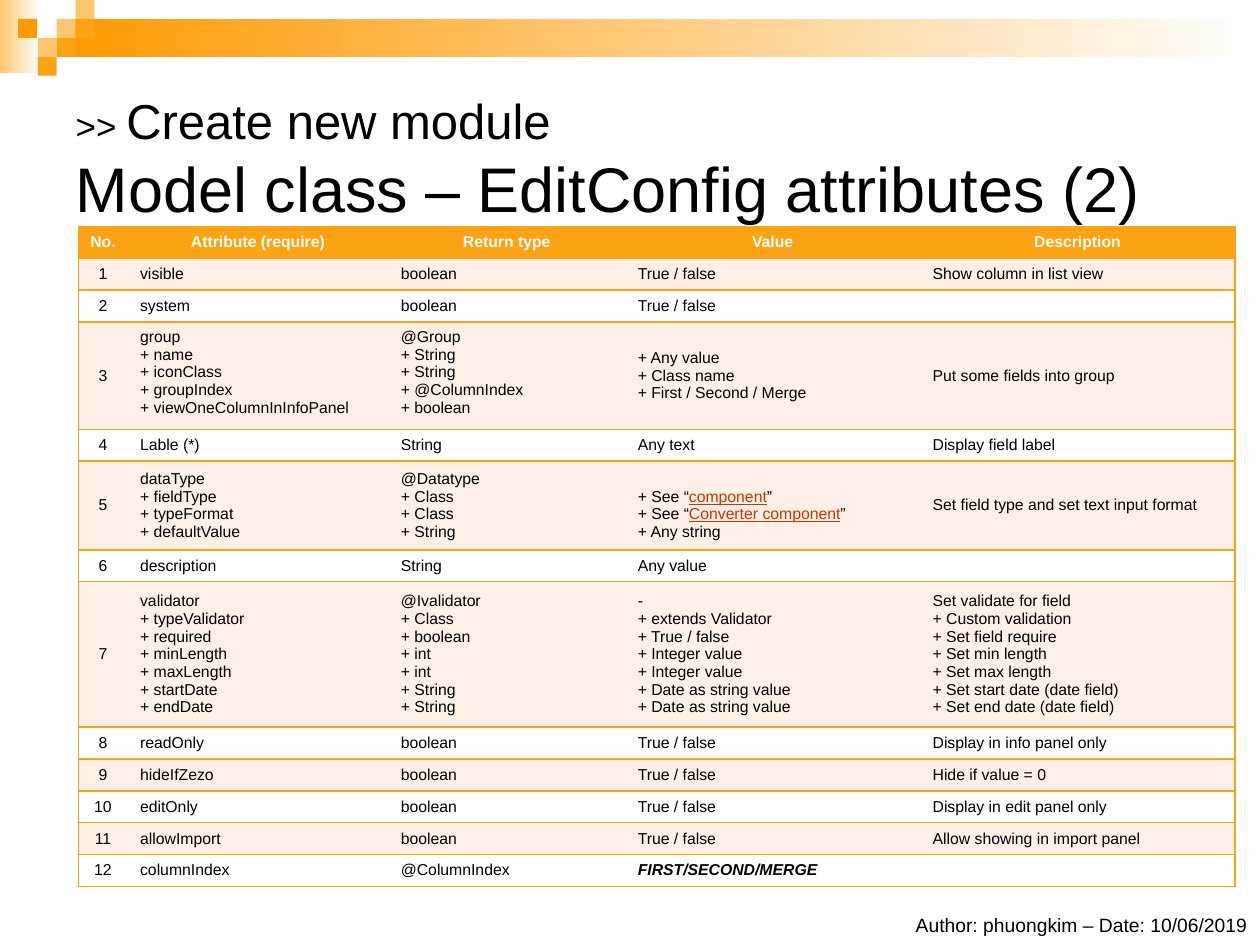
import pptx
import pptx.dml.color
import pptx.enum.shapes
import pptx.enum.text
import pptx.oxml
import pptx.oxml.ns
import pptx.util

Pt = pptx.util.Pt
RGBColor = pptx.dml.color.RGBColor
ALIGN = pptx.enum.text.PP_ALIGN
ANCHOR = pptx.enum.text.MSO_ANCHOR

FONT = "Arial"
BLACK = RGBColor(0x00, 0x00, 0x00)
WHITE = RGBColor(0xFF, 0xFF, 0xFF)
DEEP_ORANGE = RGBColor(0xFF, 0x99, 0x00)
ORANGE = RGBColor(0xFB, 0xA3, 0x13)
LIGHT_ORANGE = RGBColor(0xFC, 0xC6, 0x6E)
CREAM = RGBColor(0xFE, 0xF0, 0xE7)
LINK_RED = RGBColor(0xCC, 0x33, 0x00)

# Corner squares: left, top, colour
SQUARE = 10.8
SQUARES = [
    (32.4, 10.8, LIGHT_ORANGE), (43.2, 0, LIGHT_ORANGE), (43.2, 10.8, ORANGE),
    (21.6, 21.6, LIGHT_ORANGE), (10.4, 10.8, DEEP_ORANGE),
    (32.4, 21.6, ORANGE), (21.6, 32.4, ORANGE),
]

# Attribute table; text between bars is shown as a link
COLUMN_WIDTHS = [28.1, 149, 135.4, 168.5, 180]
ROW_HEIGHT = 18.25
TALL_ROWS = {3: 61.2, 5: 50.6, 7: 83}
LINE_HEIGHT = 10.2
ROWS = [
    ("No.", "Attribute (require)", "Return type", "Value", "Description"),
    ("1", "visible", "boolean", "True / false", "Show column in list view"),
    ("2", "system", "boolean", "True / false", ""),
    ("3", "group\n+ name\n+ iconClass\n+ groupIndex\n+ viewOneColumnInInfoPanel",
     "@Group\n+ String\n+ String\n+ @ColumnIndex\n+ boolean",
     "+ Any value\n+ Class name\n+ First / Second / Merge",
     "Put some fields into group"),
    ("4", "Lable (*)", "String", "Any text", "Display field label"),
    ("5", "dataType\n+ fieldType\n+ typeFormat\n+ defaultValue",
     "@Datatype\n+ Class\n+ Class\n+ String",
     "+ See “|component|”\n+ See “|Converter component|”\n+ Any string",
     "Set field type and set text input format"),
    ("6", "description", "String", "Any value", ""),
    ("7", "validator\n+ typeValidator\n+ required\n+ minLength\n+ maxLength"
          "\n+ startDate\n+ endDate",
     "@Ivalidator\n+ Class\n+ boolean\n+ int\n+ int\n+ String\n+ String",
     "-\n+ extends Validator\n+ True / false\n+ Integer value\n+ Integer value"
     "\n+ Date as string value\n+ Date as string value",
     "Set validate for field\n+ Custom validation\n+ Set field require"
     "\n+ Set min length\n+ Set max length\n+ Set start date (date field)"
     "\n+ Set end date (date field)"),
    ("8", "readOnly", "boolean", "True / false", "Display in info panel only"),
    ("9", "hideIfZezo", "boolean", "True / false", "Hide if value = 0"),
    ("10", "editOnly", "boolean", "True / false", "Display in edit panel only"),
    ("11", "allowImport", "boolean", "True / false", "Allow showing in import panel"),
    ("12", "columnIndex", "@ColumnIndex", "FIRST/SECOND/MERGE", ""),
]


def add_run(p, text, size, color=BLACK):
    r = p.add_run()
    r.text = text
    r.font.name = FONT
    r.font.size = Pt(size)
    r.font.color.rgb = color
    return r


def add_block(slide, left, top, width, height, color, fade=False):
    """Add a borderless rectangle, optionally fading to white on the right."""
    sp = slide.shapes.add_shape(pptx.enum.shapes.MSO_SHAPE.RECTANGLE,
                                Pt(left), Pt(top), Pt(width), Pt(height))
    sp.shadow.inherit = False
    sp.line.fill.background()
    if fade:
        sp.fill.gradient()
        sp.fill.gradient_angle = 0
        for stop, stop_color in zip(sp.fill.gradient_stops, (color, WHITE)):
            stop.color.rgb = stop_color
    else:
        sp.fill.solid()
        sp.fill.fore_color.rgb = color


def add_title(slide):
    sp = slide.shapes.title
    sp.left, sp.top, sp.width, sp.height = Pt(36), Pt(36), Pt(648), Pt(108)
    tf = sp.text_frame
    tf.auto_size = pptx.enum.text.MSO_AUTO_SIZE.NONE
    tf.vertical_anchor = ANCHOR.MIDDLE
    p = tf.paragraphs[0]
    p.alignment = ALIGN.LEFT
    add_run(p, ">> ", 20)
    add_run(p, "Create new module", 28)
    p.add_line_break()
    add_run(p, "Model class – EditConfig attributes (2)", 36)


def set_borders(cell, visible_sides):
    tc_pr = cell._tc.get_or_add_tcPr()
    for side in "LRTB":
        fill = "<a:noFill/>"
        if side in visible_sides:
            fill = f'<a:solidFill><a:srgbClr val="{ORANGE}"/></a:solidFill>'
        tc_pr.append(pptx.oxml.parse_xml(
            f'<a:ln{side} {pptx.oxml.ns.nsdecls("a")} w="{Pt(1)}">{fill}</a:ln{side}>'))


def fill_cell(cell, text, row, col):
    last_col = len(COLUMN_WIDTHS) - 1
    set_borders(cell, "TB" + {0: "L", last_col: "R"}.get(col, ""))
    cell.fill.solid()
    cell.fill.fore_color.rgb = ORANGE if row == 0 else CREAM if row % 2 else WHITE
    cell.vertical_anchor = ANCHOR.MIDDLE
    if col == 0:
        cell.margin_left = cell.margin_right = Pt(3)
    tf = cell.text_frame
    for i, line in enumerate(text.split("\n")):
        p = tf.add_paragraph() if i else tf.paragraphs[0]
        p.alignment = ALIGN.CENTER if row == 0 or col == 0 else ALIGN.LEFT
        if not line:
            # Keeps an empty cell from stretching its row
            p._p.get_or_add_endParaRPr().set("sz", "900")
            continue
        for j, part in enumerate(line.split("|")):
            is_link = j % 2 == 1
            r = add_run(p, part, 9, WHITE if row == 0 else LINK_RED if is_link else BLACK)
            r.font.bold = row == 0
            if is_link:
                r.font.underline = True


def add_attribute_table(slide):
    heights = [TALL_ROWS.get(i, ROW_HEIGHT) for i in range(len(ROWS))]
    table = slide.shapes.add_table(
        len(ROWS), len(COLUMN_WIDTHS), Pt(44.8), Pt(129.3),
        Pt(sum(COLUMN_WIDTHS)), Pt(sum(heights))).table
    for column, width in zip(table.columns, COLUMN_WIDTHS):
        column.width = Pt(width)
    for i, texts in enumerate(ROWS):
        table.rows[i].height = Pt(heights[i])
        for j, text in enumerate(texts):
            fill_cell(table.cell(i, j), text, i, j)
    # Group names sit at the top; the data type values start one line down
    for col in (1, 2):
        table.cell(3, col).vertical_anchor = ANCHOR.TOP
    table.cell(5, 3).margin_top = Pt(3.6 + LINE_HEIGHT)
    # The last value is emphasised
    font = table.cell(12, 3).text_frame.paragraphs[0].runs[0].font
    font.bold = font.italic = True


def add_footer(slide):
    tf = slide.shapes.add_textbox(Pt(365.8), Pt(518.4), Pt(354.2), Pt(20.6)).text_frame
    tf.word_wrap = True
    p = tf.paragraphs[0]
    p.alignment = ALIGN.RIGHT
    add_run(p, "Author: phuongkim – Date: 10/06/2019", 11)


def main():
    prs = pptx.Presentation()
    prs.slide_width, prs.slide_height = Pt(720), Pt(540)
    slide = prs.slides.add_slide(prs.slide_layouts[5])

    # Header band and corner squares
    add_block(slide, 0, 0, 22.3, 41.8, LIGHT_ORANGE, fade=True)
    add_block(slide, 32.4, 10.8, 687.6, 21.6, DEEP_ORANGE, fade=True)
    for left, top, color in SQUARES:
        add_block(slide, left, top, SQUARE, SQUARE, color)

    add_title(slide)
    add_footer(slide)
    add_attribute_table(slide)
    prs.save("out.pptx")


if __name__ == "__main__":
    main()
